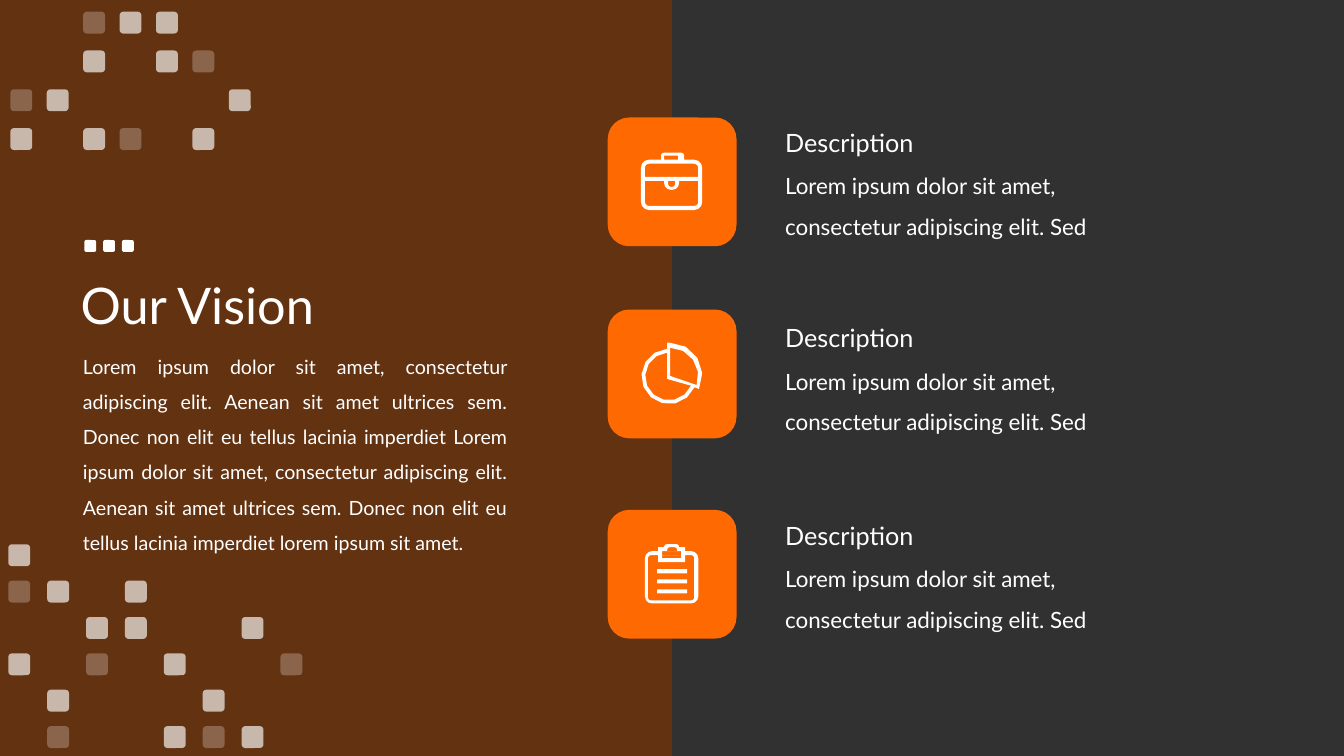
from math import ceil, cos, radians, sin

from lxml import etree
from pptx import Presentation
from pptx.dml.color import RGBColor
from pptx.enum.shapes import MSO_SHAPE
from pptx.enum.text import MSO_ANCHOR, MSO_AUTO_SIZE, PP_ALIGN
from pptx.oxml.ns import qn
from pptx.util import Inches, Pt

RECT, ROUNDED = MSO_SHAPE.RECTANGLE, MSO_SHAPE.ROUNDED_RECTANGLE
LEFT, JUSTIFY = PP_ALIGN.LEFT, PP_ALIGN.JUSTIFY
MIDDLE, TOP = MSO_ANCHOR.MIDDLE, MSO_ANCHOR.TOP
NO_AUTOFIT = MSO_AUTO_SIZE.NONE

SLIDE_W, SLIDE_H = Inches(13.33), Inches(7.5)
COLORS = {"background": "313131", "panel": "7F3401", "tile": "FE6902", "white": "FFFFFF"}
FONT = "Lato"

VISION = (
    "Lorem ipsum dolor sit amet, consectetur adipiscing elit. Aenean sit amet "
    "ultrices sem. Donec non elit eu tellus lacinia imperdiet Lorem ipsum dolor "
    "sit amet, consectetur adipiscing elit. Aenean sit amet ultrices sem. Donec "
    "non elit eu tellus lacinia imperdiet lorem ipsum sit amet."
)
DETAIL = "Lorem ipsum dolor sit amet, consectetur adipiscing elit. Sed"

# Square patterns: "#" is a strong square, "+" a faint one
OPACITY = {"#": 65, "+": 25}
TOP_SQUARES = ["..+##..", "..#.#+.", "+#....#", "#.#+.#."]
BOTTOM_SQUARES = ["#.......", "+#.#....", "..##..#.", "#.+.#..+", ".#...#..", ".+..#+#."]

TILE_LEFT, TILE_W, TILE_H = 45.22, 9.58, 17.03
TILE_UNITS = 128
POINT_PRECISION = 100
ARC_STEP = 30


def across(share):
    return round(SLIDE_W * share / 100)


def down(share):
    return round(SLIDE_H * share / 100)


def place(left, top, width, height):
    """Turn percentages of the slide into a position and size."""
    return across(left), down(top), across(width), down(height)


def paint(shape, color, opacity=100):
    shape.shadow.inherit = False
    shape.line.fill.background()
    shape.fill.solid()
    shape.fill.fore_color.rgb = RGBColor.from_string(COLORS[color])
    if opacity < 100:
        rgb = shape.fill._xPr.find(".//" + qn("a:srgbClr"))
        etree.SubElement(rgb, qn("a:alpha"), val=str(opacity * 1000))


def add_block(slide, kind, area, color, opacity=100):
    paint(slide.shapes.add_shape(kind, *place(*area)), color, opacity)


def write(frame, text, size, spacing=1.0, align=LEFT, anchor=TOP):
    frame.word_wrap = True
    frame.auto_size = NO_AUTOFIT
    frame.vertical_anchor = anchor
    frame.text = text
    paragraph = frame.paragraphs[0]
    paragraph.alignment = align
    paragraph.line_spacing = spacing
    font = paragraph.runs[0].font
    font.name, font.size = FONT, Pt(size)
    font.color.rgb = RGBColor.from_string(COLORS["white"])


def add_text(slide, area, text, size, **style):
    write(slide.shapes.add_textbox(*place(*area)).text_frame, text, size, **style)


def add_title(slide, area, text):
    title = slide.shapes.title
    title.left, title.top, title.width, title.height = place(*area)
    write(title.text_frame, text, 36, spacing=0.9, anchor=MIDDLE)


def add_squares(slide, pattern, left, top, right, bottom):
    """Spread the pattern so its outer squares start at the given edges."""
    column = (right - left) / (len(pattern[0]) - 1)
    row = (bottom - top) / (len(pattern) - 1)
    for r, marks in enumerate(pattern):
        for c, mark in enumerate(marks):
            if mark in OPACITY:
                area = (left + c * column, top + r * row, 1.63, 2.9)
                add_block(slide, ROUNDED, area, "white", OPACITY[mark])


def arc(x, y, radius, start, end):
    steps = ceil(abs(end - start) / ARC_STEP)
    angles = [radians(start + (end - start) * i / steps) for i in range(steps + 1)]
    return [(x + radius * cos(a), y + radius * sin(a)) for a in angles]


def box(left, top, right, bottom, upper=0, lower=0):
    """Outline of a box with its upper and lower corners cut by these amounts."""
    corners = [
        (left + upper, top + upper, upper, 180), (right - upper, top + upper, upper, 270),
        (right - lower, bottom - lower, lower, 0), (left + lower, bottom - lower, lower, 90),
    ]
    return [p for x, y, radius, angle in corners
            for p in (arc(x, y, radius, angle, angle + 90) if radius else [(x, y)])]


def briefcase():
    return [
        box(33, 42, 94, 92, 8, 8), box(53, 35, 76, 42, 3), box(56, 38, 70, 42),
        box(37, 46, 90, 59, 4), box(37, 63, 90, 88, 0, 4),
        box(56, 63, 71, 72, 0, 7), box(60, 63, 67, 69, 0, 3),
    ]


def pie():
    return [
        [(62, 33), (59, 33)] + arc(61, 66.5, 27.5, -94, -337) + arc(62, 65, 32, 26, -90),
        arc(61, 66.5, 23.7, -95, -337) + [(59, 69)],
        arc(62, 66, 28, -90, 19) + [(62, 66)],
    ]


def clipboard():
    lines = [box(49, top, 79, top + 4) for top in (59, 69, 79)]
    return lines + [
        box(37, 41, 90, 93, 7, 7), box(40, 45, 86, 90, 3, 3),
        box(50, 37, 77, 41), box(56, 34, 71, 37, 3), box(50, 45, 77, 52),
        box(54, 41, 73, 48), box(59, 37, 69, 41, 3),
    ]


def add_icon(slide, outlines, tile_top):
    """Draw nested outlines, measured in 128ths of the tile; inner ones are holes."""
    scale = across(TILE_W) / (TILE_UNITS * POINT_PRECISION)
    scaled = [[(x * POINT_PRECISION, y * POINT_PRECISION) for x, y in outline]
              for outline in outlines]
    builder = slide.shapes.build_freeform(*scaled[0][0], scale=scale)
    for outline in scaled:
        if outline is not scaled[0]:
            builder.move_to(*outline[0])
        builder.add_line_segments(outline[1:], close=True)
    paint(builder.convert_to_shape(across(TILE_LEFT), down(tile_top)), "white")


def add_item_text(slide, top):
    add_text(slide, (57.68, top + 4.2, 29.85, 11.47), DETAIL, 16, spacing=1.5)
    add_text(slide, (57.68, top, 17.63, 5.33), "Description", 18)


def main():
    deck = Presentation()
    deck.slide_width, deck.slide_height = SLIDE_W, SLIDE_H
    slide = deck.slides.add_slide(deck.slide_layouts[5])
    slide.background.fill.solid()
    slide.background.fill.fore_color.rgb = RGBColor.from_string(COLORS["background"])

    add_block(slide, RECT, (0, 0, 50, 100), "panel", 65)
    # Bring the title in front of the panel
    title = slide.shapes.title.element
    title.getparent().append(title)
    add_title(slide, (5.25, 29.6, 86.25, 22.27), "Our Vision")
    add_text(slide, (5.43, 44.67, 33.08, 28.93), VISION, 14, spacing=1.5, align=JUSTIFY)

    tile_icons = {15.55: briefcase, 40.95: pie, 67.45: clipboard}
    for tile_top in tile_icons:
        add_block(slide, ROUNDED, (TILE_LEFT, tile_top, TILE_W, TILE_H), "tile")
    for text_top in (16.2, 42, 68.18):
        add_item_text(slide, text_top)

    for dot in range(3):
        add_block(slide, ROUNDED, (6.28 + 1.4 * dot, 31.75, 0.88, 1.57), "white")
    add_squares(slide, BOTTOM_SQUARES, 0.62, 72, 20.87, 96.05)
    add_squares(slide, TOP_SQUARES, 0.77, 1.55, 17.03, 16.95)

    for tile_top, icon in tile_icons.items():
        add_icon(slide, icon(), tile_top)
    deck.save("out.pptx")


if __name__ == "__main__":
    main()
